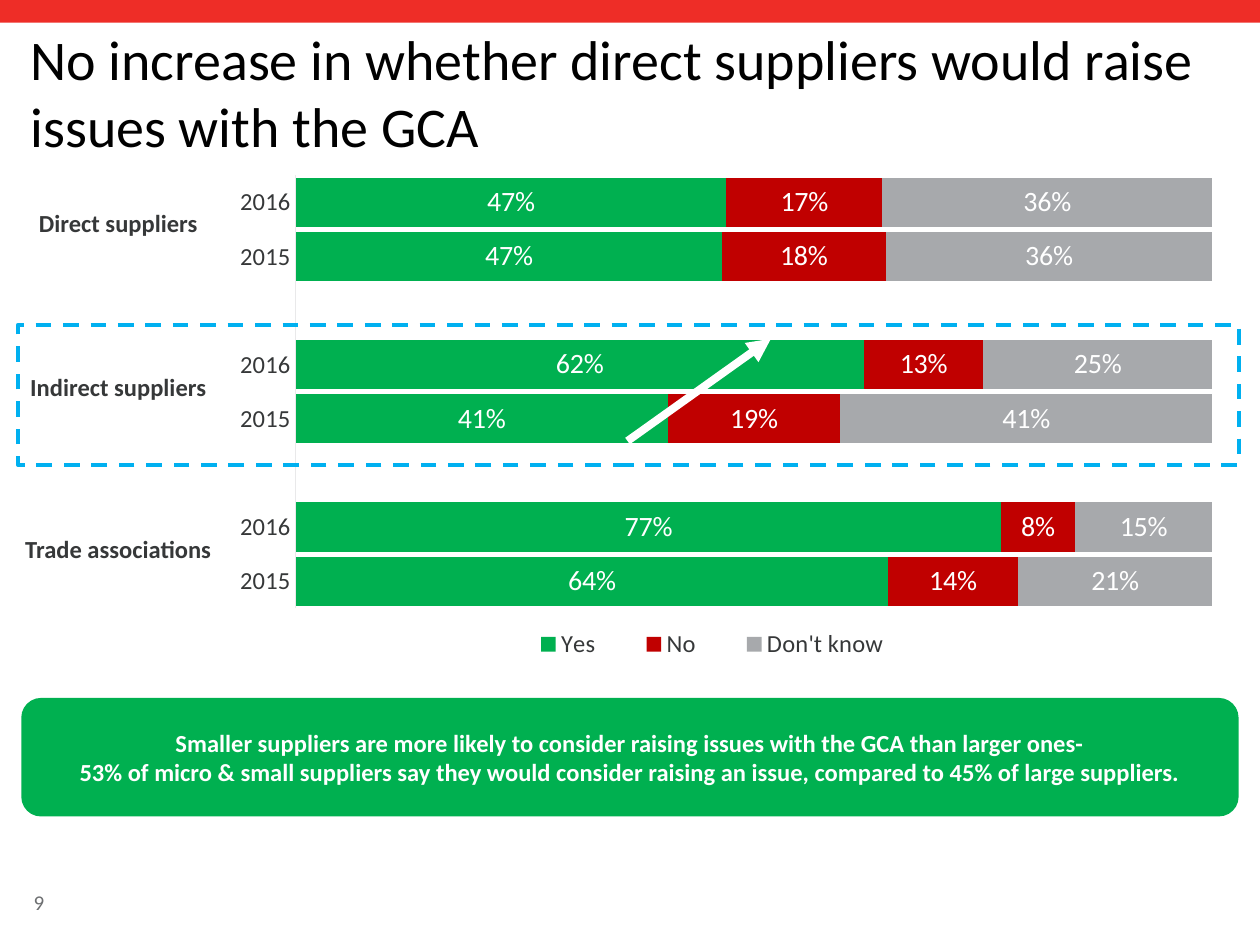
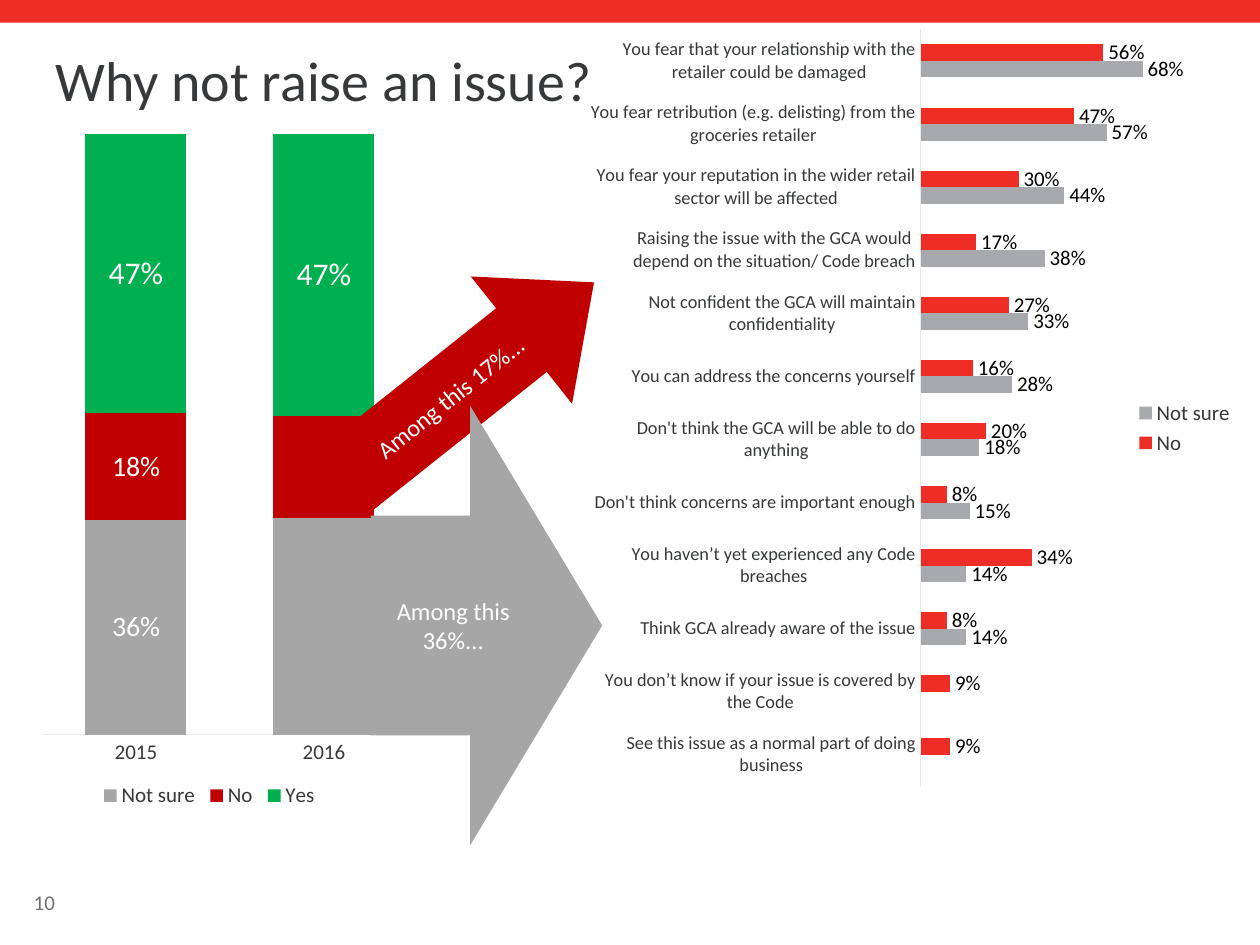
import pptx
import pptx.chart.data
import pptx.dml.color
import pptx.enum.chart
import pptx.enum.dml
import pptx.enum.shapes
import pptx.enum.text
import pptx.oxml
import pptx.oxml.ns
import pptx.util
from pptx.util import Cm

RGBColor = pptx.dml.color.RGBColor
RED = RGBColor(0xEE, 0x2D, 0x27)
DARK_RED = RGBColor(0xC0, 0x00, 0x00)
GREEN = RGBColor(0x00, 0xB0, 0x50)
GREY = RGBColor(0xA7, 0xA9, 0xAC)
ARROW_GREY = RGBColor(0xA6, 0xA6, 0xA6)
AXIS_GREY = RGBColor(0xE9, 0xE9, 0xEA)
NUMBER_GREY = RGBColor(0x6D, 0x6F, 0x71)
CHARCOAL = RGBColor(0x36, 0x38, 0x39)
BLUE = RGBColor(0x00, 0xB0, 0xF0)
WHITE = RGBColor(0xFF, 0xFF, 0xFF)
BLACK = RGBColor(0x00, 0x00, 0x00)

Shape = pptx.enum.shapes.MSO_SHAPE
Anchor = pptx.enum.text.MSO_ANCHOR
Align = pptx.enum.text.PP_ALIGN
ChartType = pptx.enum.chart.XL_CHART_TYPE
LegendPosition = pptx.enum.chart.XL_LEGEND_POSITION
LabelPosition = pptx.enum.chart.XL_LABEL_POSITION
qn = pptx.oxml.ns.qn


def chart_xml(tag, content):
    return pptx.oxml.parse_xml(
        f'<c:{tag} {pptx.oxml.ns.nsdecls("c")}>{content}</c:{tag}>')


def set_layout(parent, index, frame, inner=False):
    for old in parent.findall(qn("c:layout")):
        parent.remove(old)
    target = '<c:layoutTarget val="inner"/>' if inner else ""
    modes = '<c:xMode val="edge"/><c:yMode val="edge"/>'
    sizes = "".join(f'<c:{name} val="{value}"/>' for name, value in zip("xywh", frame))
    parent.insert(index, chart_xml(
        "layout", f"<c:manualLayout>{target}{modes}{sizes}</c:manualLayout>"))


class Report:
    font_name = "Calibri"

    def __init__(self):
        self.deck = pptx.Presentation()
        self.deck.slide_width, self.deck.slide_height = Cm(25.4), Cm(19.05)
        self.slide = None

    def style(self, font, size, color, bold=False):
        font.name = self.font_name
        font.size = pptx.util.Pt(size)
        font.color.rgb = color
        font.bold = bold

    def fill_text(self, frame, lines, size, color, bold=False, align=Align.CENTER,
                  anchor=Anchor.MIDDLE):
        frame.word_wrap = True
        frame.auto_size = pptx.enum.text.MSO_AUTO_SIZE.NONE
        frame.vertical_anchor = anchor
        for index, line in enumerate(lines):
            para = frame.add_paragraph() if index else frame.paragraphs[0]
            para.alignment = align
            span = para.add_run()
            span.text = line
            self.style(span.font, size, color, bold)

    def page(self, number, title, place, color, anchor):
        self.slide = self.deck.slides.add_slide(self.deck.slide_layouts[5])
        self.shape(Shape.RECTANGLE, (0, 0, 25.4, 0.46), RED)
        box = self.slide.shapes.title
        box.left, box.top, box.width, box.height = map(Cm, place)
        self.fill_text(box.text_frame, [title], 32, color, align=Align.LEFT, anchor=anchor)
        self.text(str(number), (0.43, 17.53, 1.96, 1.32), 12, NUMBER_GREY, align=Align.LEFT)

    def text(self, line, place, size, color, **options):
        box = self.slide.shapes.add_textbox(*map(Cm, place))
        self.fill_text(box.text_frame, [line], size, color, **options)

    def shape(self, kind, place, fill, lines=(), bold=False):
        box = self.slide.shapes.add_shape(kind, *map(Cm, place))
        box.shadow.inherit = False
        box.fill.solid()
        box.fill.fore_color.rgb = fill
        box.line.fill.background()
        self.fill_text(box.text_frame, lines, 14, WHITE, bold)
        return box

    def dashed_frame(self, place):
        box = self.shape(Shape.RECTANGLE, place, WHITE)
        box.fill.background()
        box.line.color.rgb = BLUE
        box.line.width = pptx.util.Pt(2.25)
        box.line.dash_style = pptx.enum.dml.MSO_LINE.DASH

    def block_arrow(self, line, place, fill, rotation=0):
        box = self.shape(Shape.RIGHT_ARROW, place, fill, [line])
        box.adjustments[1] = 0.57
        box.rotation = rotation

    def trend_arrow(self, start, end):
        line = self.slide.shapes.add_connector(
            pptx.enum.shapes.MSO_CONNECTOR.STRAIGHT, *map(Cm, start + end))
        line.line.color.rgb = WHITE
        line.line.width = pptx.util.Pt(4.5)
        outline = line.line._get_or_add_ln()
        names = pptx.oxml.ns.nsdecls("a")
        outline.append(pptx.oxml.parse_xml(f'<a:tailEnd {names} type="triangle"/>'))
        outline.addnext(pptx.oxml.parse_xml(f"<a:effectLst {names}/>"))

    def chart(self, kind, place, categories, series, plot_frame, gap, axis_size,
              legend_size, legend_position, legend_frame=None, overlap=0,
              reverse=False, label_position=None, unlabelled=()):
        data = pptx.chart.data.CategoryChartData(number_format="0%")
        data.categories = categories
        for name, values, *_ in series:
            data.add_series(name, values)
        chart = self.slide.shapes.add_chart(kind, *map(Cm, place), data).chart
        self.style(chart.font, 10, NUMBER_GREY)
        chart.has_title = False

        axis = chart.category_axis
        axis.major_tick_mark = pptx.enum.chart.XL_TICK_MARK.NONE
        axis.reverse_order = reverse
        axis.format.line.color.rgb = AXIS_GREY
        axis.format.line.width = pptx.util.Pt(0.75)
        self.style(axis.tick_labels.font, axis_size, CHARCOAL)
        chart.value_axis.minimum_scale = 0
        chart.value_axis.maximum_scale = 1
        chart.value_axis.has_major_gridlines = False
        chart.value_axis.visible = False

        chart.has_legend = True
        chart.legend.position = legend_position
        chart.legend.include_in_layout = False
        self.style(chart.legend.font, legend_size, CHARCOAL)
        set_layout(chart.element.find(".//" + qn("c:plotArea")), 0, plot_frame, inner=True)
        if legend_frame:
            set_layout(chart.element.find(".//" + qn("c:legend")), 1, legend_frame)

        plot = chart.plots[0]
        plot.gap_width, plot.overlap = gap, overlap
        plot.vary_by_categories = False
        for bars, (name, _, color, label_size, label_color) in zip(plot.series, series):
            bars.format.fill.solid()
            bars.format.fill.fore_color.rgb = color
            bars.invert_if_negative = False
            labels = bars.data_labels
            labels.show_value = True
            labels.number_format = "0%"
            labels.number_format_is_linked = False
            if label_position is not None:
                labels.position = label_position
            self.style(labels.font, label_size, label_color)
            if name in unlabelled:
                labels._element.insert(0, chart_xml(
                    "dLbl", '<c:idx val="1"/><c:delete val="1"/>'))


def supplier_slide(report):
    report.page(9, "No increase in whether direct suppliers would raise issues with the GCA",
                (0.36, 2.03, 24.61, 1.3), BLACK, Anchor.BOTTOM)
    report.chart(
        ChartType.BAR_STACKED_100, (1.4, 3.12, 24, 10.39),
        ["2016", "2015", "", "2016", "2015", "", "2016", "2015"],
        [("Yes", [0.47, 0.47, None, 0.62, 0.41, None, 0.77, 0.64], GREEN, 16, WHITE),
         ("No", [0.17, 0.18, None, 0.13, 0.19, None, 0.08, 0.14], DARK_RED, 16, WHITE),
         ("Don't know", [0.36, 0.36, None, 0.25, 0.41, None, 0.15, 0.21], GREY, 16, WHITE)],
        plot_frame=(0.19, 0.04, 0.77, 0.84), gap=10, overlap=100, reverse=True,
        axis_size=14, legend_size=14, legend_position=LegendPosition.RIGHT,
        legend_frame=(0.36, 0.91, 0.36, 0.08))
    report.shape(
        Shape.ROUNDED_RECTANGLE, (0.43, 14.07, 24.54, 2.39), GREEN,
        ["Smaller suppliers are more likely to consider raising issues with the GCA"
         " than larger ones-",
         "53% of micro & small suppliers say they would consider raising an issue,"
         " compared to 45% of large suppliers."], bold=True)
    for group, top in (("Trade associations", 10.13), ("Direct suppliers", 3.56),
                       ("Indirect suppliers", 6.88)):
        report.text(group, (0.15, top, 4.47, 1.85), 14, CHARCOAL, bold=True)
    report.dashed_frame((0.36, 6.55, 24.61, 2.82))
    report.trend_arrow((12.65, 8.89), (15.54, 6.83))


def reasons_slide(report):
    report.page(10, "Why not raise an issue?", (0.86, 0.79, 23.83, 1.93),
                CHARCOAL, Anchor.TOP)
    reasons = [
        ("You fear that your relationship with the retailer could be damaged", 0.56, 0.68),
        ("You fear retribution (e.g. delisting) from the groceries retailer", 0.47, 0.57),
        ("You fear your reputation in the wider retail sector will be affected", 0.3, 0.44),
        ("Raising the issue with the GCA would depend on the situation/ Code breach",
         0.17, 0.38),
        ("Not confident the GCA will maintain confidentiality", 0.27, 0.33),
        ("You can address the concerns yourself", 0.16, 0.28),
        ("Don't think the GCA will be able to do anything", 0.2, 0.18),
        ("Don't think concerns are important enough", 0.08, 0.15),
        ("You haven’t yet experienced any Code breaches", 0.34, 0.14),
        ("Think GCA already aware of the issue", 0.08, 0.14),
        ("You don’t know if your issue is covered by the Code", 0.09, None),
        ("See this issue as a normal part of doing business", 0.09, None),
    ]
    labels, refusing, unsure = zip(*reasons)
    report.chart(
        ChartType.BAR_CLUSTERED, (11.91, 0.58, 13.23, 16.08), labels,
        [("No", refusing, RED, 12, BLACK), ("Not sure", unsure, GREY, 12, BLACK)],
        plot_frame=(0.51, 0, 0.5, 0.95), gap=182, reverse=True, axis_size=10.5,
        legend_size=12, legend_position=LegendPosition.RIGHT,
        label_position=LabelPosition.OUTSIDE_END)
    report.chart(
        ChartType.COLUMN_STACKED_100, (0.43, 2.26, 8.33, 14.43), ["2015", "2016"],
        [("Not sure", [0.36, 0.36], ARROW_GREY, 16, WHITE),
         ("No", [0.18, 0.17], DARK_RED, 16, WHITE),
         ("Yes", [0.47, 0.47], GREEN, 18, WHITE)],
        plot_frame=(0.05, 0.03, 0.91, 0.84), gap=86, overlap=100, axis_size=12,
        legend_size=12, legend_position=LegendPosition.BOTTOM,
        legend_frame=(0.18, 0.93, 0.55, 0.05), unlabelled=("Not sure", "No"))
    report.block_arrow("Among this 17%...", (6.2, 6.07, 6.48, 3.28), DARK_RED, 321.5)
    report.block_arrow("Among this 36%...", (7.47, 8.18, 4.67, 8.86), ARROW_GREY)


def main():
    report = Report()
    supplier_slide(report)
    reasons_slide(report)
    report.deck.save("out.pptx")


if __name__ == "__main__":
    main()
